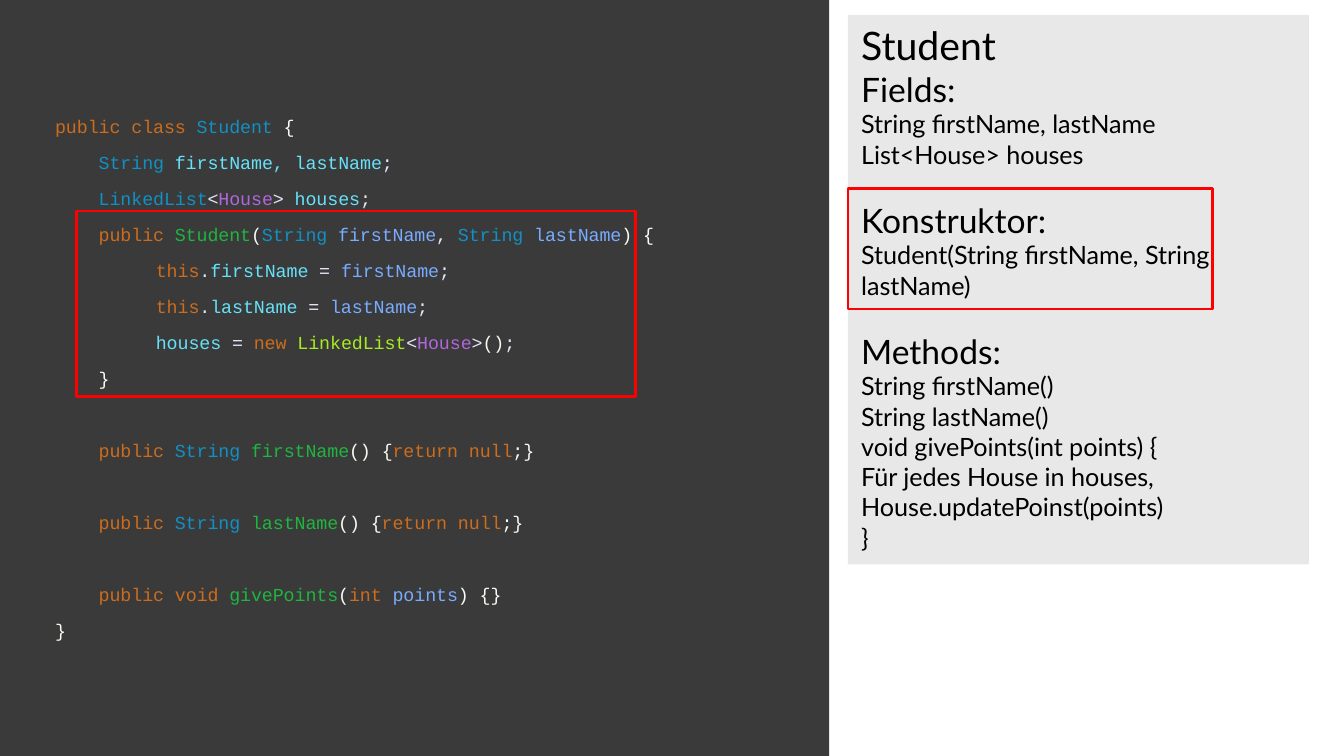
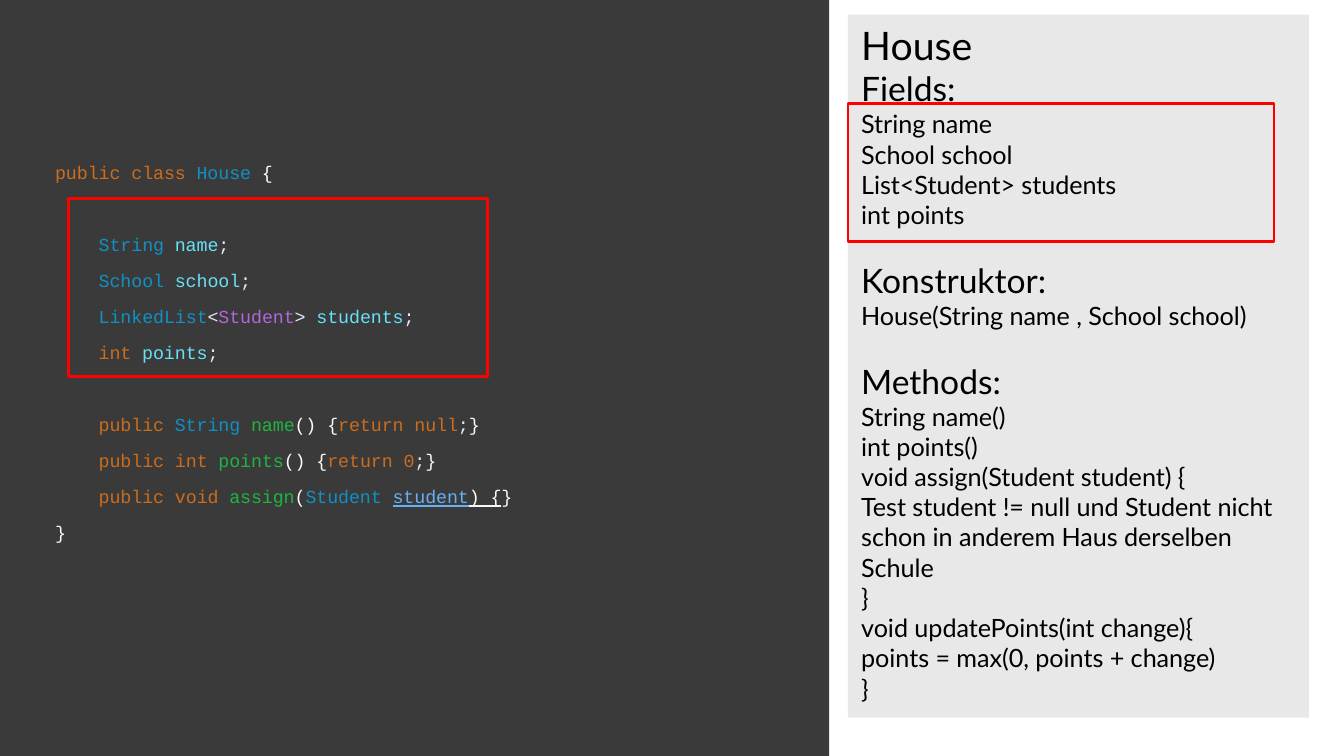
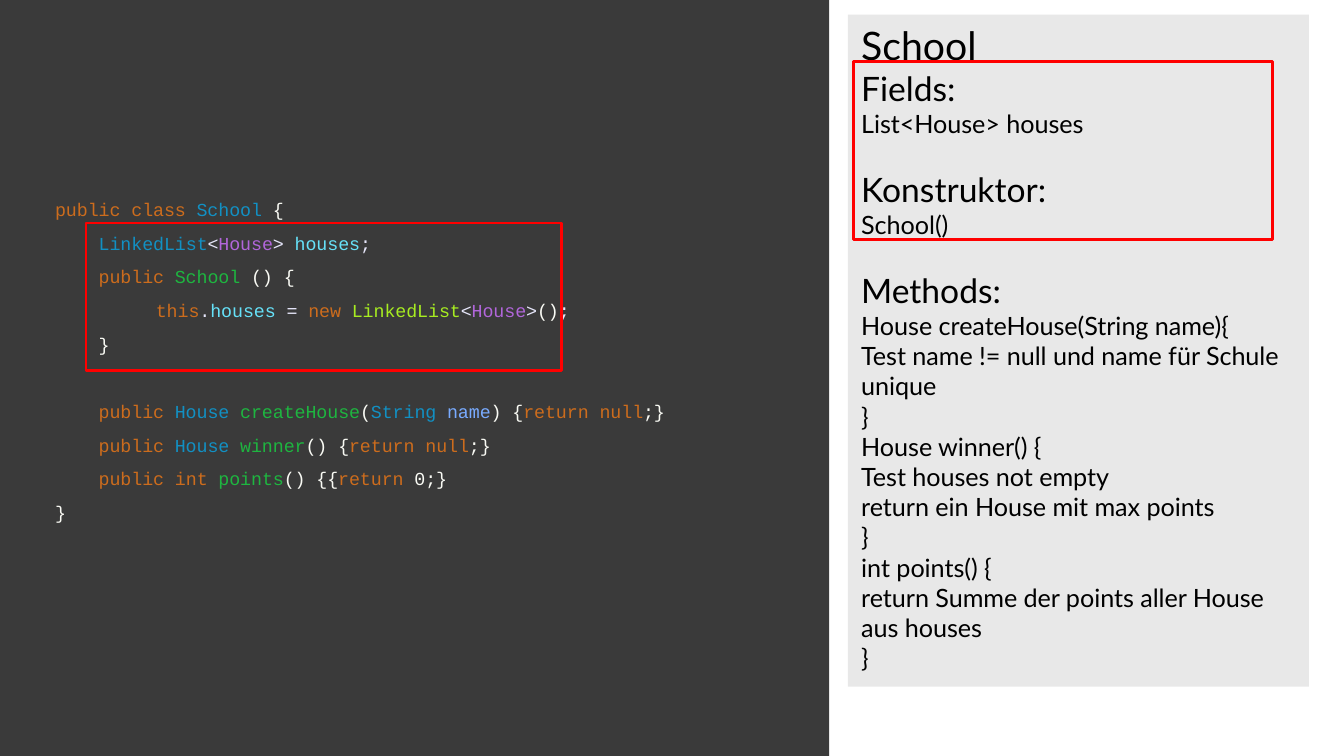
from dataclasses import dataclass

from lxml import etree
from pptx import Presentation
from pptx import util as u
from pptx.dml.color import RGBColor
from pptx.enum import shapes, text
from pptx.oxml.ns import qn

PX = u.Inches(1) // 100

DARK = RGBColor(0x3A, 0x3A, 0x3A)
LIGHT = RGBColor(0xE8, 0xE8, 0xE8)
BLACK = RGBColor(0x00, 0x00, 0x00)
RED = RGBColor(0xFF, 0x00, 0x00)
BRACKET = RGBColor(0xF9, 0xFA, 0xF4)

# Each code span starts with one of these keys and a colon.
SYNTAX = {
    "k": RGBColor(0xCC, 0x6C, 0x1D),  # keyword
    "t": RGBColor(0x12, 0x90, 0xC3),  # type
    "g": RGBColor(0xB1, 0x66, 0xDA),  # type argument
    "c": RGBColor(0xA7, 0xEC, 0x21),  # constructor call
    "m": RGBColor(0x1E, 0xB5, 0x40),  # method
    "f": RGBColor(0x66, 0xE1, 0xF8),  # field
    "v": RGBColor(0x79, 0xAB, 0xFF),  # parameter
    "s": RGBColor(0xE6, 0xE6, 0xFA),  # separator
    "b": BRACKET,
    "V": RGBColor(0x66, 0xAF, 0xF9),  # underlined parameter
    "B": BRACKET,  # underlined bracket
}
UNDERLINED = "VB"

CODE_FONT, CODE_SIZE = "Courier New", u.Pt(9.75)
CODE_GAP = 7.5
CODE_TAB = 75
PANEL_FONT = "Lato"
TITLE_SIZE, HEADING_SIZE, BODY_SIZE = 21, 18, 13.5
PANEL_GAP = u.Pt(1.2 * BODY_SIZE)


@dataclass
class ClassSlide:
    code: list
    code_top: int
    code_height: int
    code_inset: int
    line_height: float
    summary: list
    summary_height: int
    frames: list


STUDENT = ClassSlide(
    code=[
        "k:public class |t:Student |b:{",
        "t:    String |f:firstName, lastName|s:;",
        "t:    LinkedList|s:<|g:House|s:> |f:houses|s:;",
        "k:    public |m:Student|b:(|t:String |v:firstName|s:, |t:String |v:lastName|b:) {",
        "k:\tthis|s:.|f:firstName |s:= |v:firstName|s:;",
        "k:\tthis|s:.|f:lastName |s:= |v:lastName|s:;",
        "f:\thouses |s:= |k:new |c:LinkedList|s:<|g:House|s:>|b:()|s:;",
        "b:    }",
        "",
        "k:    public |t:String |m:firstName|b:() {|k:return null|b:;}",
        "",
        "k:    public |t:String |m:lastName|b:() {|k:return null|b:;}",
        "",
        "k:    public void |m:givePoints|b:(|k:int |v:points|b:) {}",
        "b:}",
    ],
    code_top=26, code_height=462, code_inset=60, line_height=11.75,
    summary=[
        "Student",
        "Fields:", "String firstName, lastName", "List<House> houses",
        "Konstruktor:", "Student(String firstName, String lastName)",
        "Methods:", "String firstName()", "String lastName()",
        "void givePoints(int points) {",
        "Für jedes House in houses, House.updatePoinst(points)", "}",
    ],
    summary_height=409,
    frames=[(631, 140, 271, 90), (57, 157, 416, 138)],
)

HOUSE = ClassSlide(
    code=[
        "k:public class |t:House |b:{",
        "",
        "t:    String |f:name|s:;",
        "t:    School |f:school|s:;",
        "t:    LinkedList|s:<|g:Student|s:> |f:students|s:;",
        "k:    int |f:points|s:;",
        "",
        "k:    public |t:String |m:name|b:() {|k:return null|s:;|b:}",
        "k:    public int |m:points|b:() {|k:return 0|s:;|b:}",
        "k:    public void |m:assign|b:(|t:Student |V:student|B:) {|b:}",
        "b:}",
    ],
    code_top=81, code_height=350, code_inset=39, line_height=11.75,
    summary=[
        "House",
        "Fields:", "String name", "School school", "List<Student> students",
        "int points",
        "Konstruktor:", "House(String name , School school)",
        "Methods:", "String name()", "int points()",
        "void assign(Student student) {",
        "Test student != null und Student nicht schon in anderem Haus derselben Schule",
        "}",
        "void updatePoints(int change){", "points = max(0, points + change)", "}",
    ],
    summary_height=523,
    frames=[(51, 148, 312, 132), (631, 77, 317, 103)],
)

SCHOOL = ClassSlide(
    code=[
        "k:public class |t:School |b:{",
        "t:    LinkedList|s:<|g:House|s:> |f:houses|s:;",
        "k:    public |m:School |b:() {",
        "k:\tthis|s:.|f:houses |s:= |k:new |c:LinkedList|s:<|g:House|s:>|b:()|s:;",
        "b:    }",
        "",
        "k:    public |t:House |m:createHouse|b:(|t:String |v:name|b:) {|k:return null|b:;}",
        "k:    public |t:House |m:winner|b:() {|k:return null|b:;}",
        "k:    public int |m:points|b:() {{|k:return |b:0;}",
        "b:}",
    ],
    code_top=115, code_height=282, code_inset=34, line_height=10.55,
    summary=[
        "School",
        "Fields:", "List<House> houses",
        "Konstruktor:", "School()",
        "Methods:", "House createHouse(String name){",
        "Test name != null und name für Schule unique", "}",
        "House winner() {", "Test houses not empty",
        "return ein House mit max points", "}",
        "int points() {", "return Summe der points aller House aus houses", "}",
    ],
    summary_height=500,
    frames=[(635, 46, 312, 132), (64, 166, 354, 110)],
)


def scaled(*lengths):
    return [length * PX for length in lengths]


def add_rectangle(page, place, fill=None, line=None):
    box = page.shapes.add_shape(shapes.MSO_SHAPE.RECTANGLE, *scaled(*place))
    box.shadow.inherit = False
    if fill is None:
        box.fill.background()
    else:
        box.fill.solid()
        box.fill.fore_color.rgb = fill
    if line is None:
        box.line.fill.background()
    else:
        box.line.color.rgb = line
        box.line.width = u.Pt(1.5)
    return box


def next_para(frame, index):
    return frame.add_paragraph() if index else frame.paragraphs[0]


def add_summary(page, lines, height):
    """Grey panel: class name, then headings (ending in a colon) with their members."""
    box = add_rectangle(page, (631, 11, 343, height), fill=LIGHT)
    frame = box.text_frame
    frame.word_wrap = True
    frame.vertical_anchor = text.MSO_ANCHOR.TOP
    for index, line in enumerate(lines):
        para = next_para(frame, index)
        para.text = line
        para.alignment = text.PP_ALIGN.LEFT
        is_heading = line.endswith(":")
        if is_heading and index > 1:
            para.space_before = PANEL_GAP
        size = HEADING_SIZE if is_heading else BODY_SIZE
        para.font.size = u.Pt(size if index else TITLE_SIZE)
        para.font.name = PANEL_FONT
        para.font.color.rgb = BLACK


def add_tab_stop(para, position):
    tabs = etree.SubElement(para._p.get_or_add_pPr(), qn("a:tabLst"))
    etree.SubElement(tabs, qn("a:tab"), pos=str(position * PX), algn="l")


def add_code_spans(para, line):
    for part in line.split("|"):
        key, words = part.split(":", 1)
        span = para.add_run()
        span.text = words
        span.font.color.rgb = SYNTAX[key]
        if key in UNDERLINED:
            span.font.underline = True


def add_code(page, content):
    """Coloured listing; an empty line becomes space before the next one."""
    box = page.shapes.add_textbox(
        *scaled(34, content.code_top, 543, content.code_height))
    frame = box.text_frame
    frame.word_wrap = True
    frame.margin_left = frame.margin_right = 7 * PX
    frame.margin_top, frame.margin_bottom = scaled(content.code_inset, 4)
    pitch = content.line_height + CODE_GAP
    previous = None
    for index, line in enumerate(content.code):
        if line:
            para = next_para(frame, index)
            add_tab_stop(para, CODE_TAB)
            para.line_spacing = u.Pt(content.line_height)
            if index:
                para.space_before = u.Pt(CODE_GAP if previous else CODE_GAP + pitch)
            para.font.name = CODE_FONT
            para.font.size = CODE_SIZE
            add_code_spans(para, line)
        previous = line


def add_class_slide(deck, content):
    page = deck.slides.add_slide(deck.slide_layouts.get_by_name("Blank"))
    add_rectangle(page, (-7, -9, 624, 578), fill=DARK)
    add_summary(page, content.summary, content.summary_height)
    add_code(page, content)
    for place in content.frames:
        add_rectangle(page, place, line=RED)


def main():
    deck = Presentation()
    deck.slide_width = 1000 * PX
    deck.slide_height = deck.slide_width * 9 // 16
    for content in (STUDENT, HOUSE, SCHOOL):
        add_class_slide(deck, content)
    deck.save("out.pptx")


if __name__ == "__main__":
    main()
